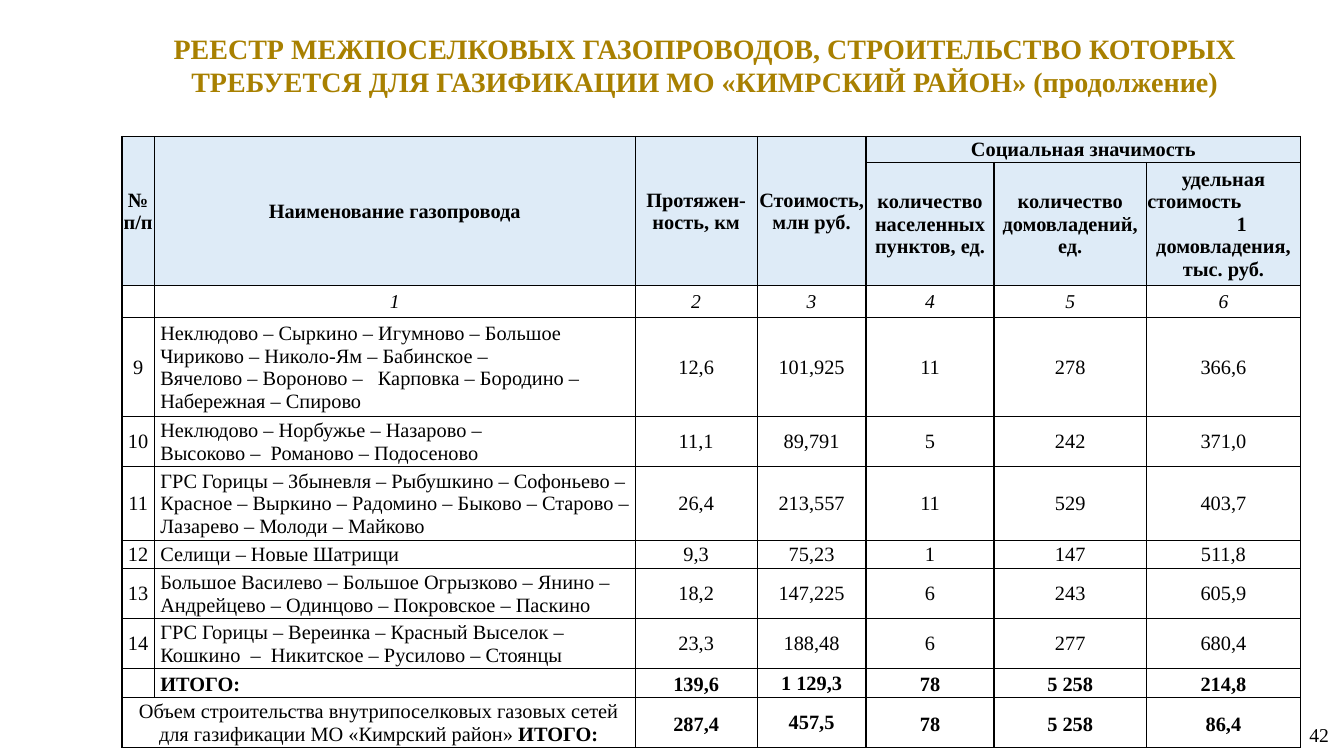
from pptx import Presentation
from pptx.dml.color import RGBColor
from pptx.enum.text import MSO_ANCHOR, MSO_AUTO_SIZE, PP_ALIGN
from pptx.oxml import parse_xml
from pptx.oxml.ns import nsdecls
from pptx.util import Inches, Pt

LEFT, CENTER, RIGHT = PP_ALIGN.LEFT, PP_ALIGN.CENTER, PP_ALIGN.RIGHT
MIDDLE, TOP = MSO_ANCHOR.MIDDLE, MSO_ANCHOR.TOP
NO_AUTOFIT = MSO_AUTO_SIZE.NONE

GOLD = RGBColor(0xA8, 0x80, 0x00)
BLACK = RGBColor(0x00, 0x00, 0x00)
PALE_BLUE = RGBColor(0xDE, 0xEB, 0xF7)

TITLE = ("РЕЕСТР МЕЖПОСЕЛКОВЫХ ГАЗОПРОВОДОВ, СТРОИТЕЛЬСТВО КОТОРЫХ "
         "ТРЕБУЕТСЯ ДЛЯ ГАЗИФИКАЦИИ МО «КИМРСКИЙ РАЙОН» (продолжение)")

# Percent of the slide's width and height
COLUMN_SHARES = [2.4, 35.78, 9.08, 8.1, 9.53, 11.33, 11.48]
ROW_SHARES = [3.44, 16.27, 4.23, 13.1, 6.61, 9.79, 3.7, 6.61, 6.61, 3.7, 6.61]

HEADINGS = ["№\vп/п", "Наименование газопровода", "Протяжен-ность, км",
            "Стоимость, млн руб.", "Социальная значимость"]
SUBHEADINGS = ["количество населенных пунктов, ед.",
               "количество\nдомовладений, ед.",
               "удельная\nстоимость\n1\nдомовладения, тыс. руб."]
COLUMN_NUMBERS = ["", "1", "2", "3", "4", "5", "6"]
PIPELINES = [
    ["9", "Неклюдово – Сыркино – Игумново – Большое\n"
          "Чириково – Николо-Ям – Бабинское –\n"
          "Вячелово – Вороново –   Карповка – Бородино –\n"
          "Набережная – Спирово",
     "12,6", "101,925", "11", "278", "366,6"],
    ["10", "Неклюдово – Норбужье – Назарово –\n"
           "Высоково –  Романово – Подосеново",
     "11,1", "89,791", "5", "242", "371,0"],
    ["11", "ГРС Горицы – Збыневля – Рыбушкино – Софоньево –\n"
           "Красное – Выркино – Радомино – Быково – Старово –\n"
           "Лазарево – Молоди – Майково",
     "26,4", "213,557", "11", "529", "403,7"],
    ["12", "Селищи – Новые Шатрищи", "9,3", "75,23", "1", "147", "511,8"],
    ["13", "Большое Василево – Большое Огрызково – Янино –\n"
           "Андрейцево – Одинцово – Покровское – Паскино",
     "18,2", "147,225", "6", "243", "605,9"],
    ["14", "ГРС Горицы – Вереинка – Красный Выселок –\n"
           "Кошкино  –  Никитское – Русилово – Стоянцы",
     "23,3", "188,48", "6", "277", "680,4"],
]
TOTALS = ["", "ИТОГО:", "139,6", "1 129,3", "78", "5 258", "214,8"]
NETWORK_LABEL = ("Объем строительства внутрипоселковых газовых сетей\n"
                 "для газификации МО «Кимрский район» ")
NETWORK_TOTALS = ["287,4", "457,5", "78", "5 258", "86,4"]


class RegisterSlide:
    """Places elements by percent of the slide's size, in one typeface."""

    font = "Times New Roman"
    body_size = 14.5

    def __init__(self, deck):
        self.width, self.height = deck.slide_width, deck.slide_height
        self.slide = deck.slides.add_slide(deck.slide_layouts[5])

    def across(self, share):
        return round(self.width * share / 100)

    def down(self, share):
        return round(self.height * share / 100)

    def box(self, x, y, w, h):
        return self.across(x), self.down(y), self.across(w), self.down(h)

    def style(self, frame, size, color=BLACK, align=CENTER, bold=False, italic=False):
        for paragraph in frame.paragraphs:
            paragraph.alignment = align
            for run in paragraph.runs:
                font = run.font
                font.name, font.size = self.font, Pt(size)
                font.bold, font.italic = bold, italic
                font.color.rgb = color

    def title(self, text, *place):
        heading = self.slide.shapes.title
        heading.left, heading.top, heading.width, heading.height = self.box(*place)
        frame = heading.text_frame
        frame.text = text
        frame.word_wrap, frame.auto_size = True, NO_AUTOFIT
        frame.vertical_anchor = TOP
        self.style(frame, 20, GOLD, bold=True)

    def page_number(self, number, *place):
        frame = self.slide.shapes.add_textbox(*self.box(*place)).text_frame
        frame.text = number
        frame.word_wrap = True
        frame.vertical_anchor = MIDDLE
        self.style(frame, 14, align=RIGHT)

    def table(self, x, y, column_shares, row_shares):
        place = self.box(x, y, sum(column_shares), sum(row_shares))
        table = self.slide.shapes.add_table(
            len(row_shares), len(column_shares), *place).table
        table.first_row = table.horz_banding = False
        for column, share in zip(table.columns, column_shares):
            column.width = self.across(share)
        for row, share in zip(table.rows, row_shares):
            row.height = self.down(share)
        for cell in table.iter_cells():
            self.frame_cell(cell)
        return table

    def frame_cell(self, cell):
        """Give a cell black edges, narrow margins and a small empty line."""
        properties = cell._tc.get_or_add_tcPr()
        for edge in ("lnL", "lnR", "lnT", "lnB"):
            properties.append(parse_xml(
                f'<a:{edge} {nsdecls("a")} w="{Pt(1)}"><a:solidFill>'
                f'<a:srgbClr val="{BLACK}"/></a:solidFill></a:{edge}>'))
        cell.fill.background()
        cell.vertical_anchor = MIDDLE
        cell.margin_left = cell.margin_right = cell.margin_top = Inches(0.01)
        cell.margin_bottom = 0
        cell.text_frame.paragraphs[0]._p.append(parse_xml(
            f'<a:endParaRPr {nsdecls("a")} sz="{round(self.body_size * 100)}"/>'))

    def fill_row(self, table, row, texts, first=0, size=body_size, **look):
        for column, text in enumerate(texts, first):
            if text:
                frame = table.cell(row, column).text_frame
                frame.text = text
                self.style(frame, size, **look)

    def name_cell(self, cell):
        cell.margin_left = Inches(0.06)
        for paragraph in cell.text_frame.paragraphs:
            paragraph.alignment = LEFT


def add_header(page, table):
    page.fill_row(table, 0, HEADINGS, bold=True)
    page.fill_row(table, 1, SUBHEADINGS, first=4, bold=True)
    for row in range(2):
        for column in range(len(COLUMN_SHARES)):
            cell = table.cell(row, column)
            cell.fill.solid()
            cell.fill.fore_color.rgb = PALE_BLUE
    unit_cost = table.cell(1, 6).text_frame.paragraphs
    unit_cost[1].alignment = LEFT
    unit_cost[2]._p.get_or_add_pPr().set("marL", str(Inches(0.36)))
    for column in range(4):
        table.cell(0, column).merge(table.cell(1, column))
    table.cell(0, 4).merge(table.cell(0, 6))
    page.fill_row(table, 2, COLUMN_NUMBERS, size=14, italic=True)


def add_totals(page, table, total_row):
    network_row = total_row + 1
    page.fill_row(table, total_row, TOTALS, bold=True)
    page.name_cell(table.cell(total_row, 1))
    page.fill_row(table, network_row, [NETWORK_LABEL])
    page.fill_row(table, network_row, NETWORK_TOTALS, first=2, bold=True)
    label = table.cell(network_row, 0)
    label.merge(table.cell(network_row, 1))
    total_word = label.text_frame.paragraphs[1].add_run()
    total_word.text = "ИТОГО:"
    page.style(label.text_frame, page.body_size)
    total_word.font.bold = True
    for row, column in [(total_row, 1)] + [
            (row, column) for row in (total_row, network_row) for column in (2, 4, 5, 6)]:
        table.cell(row, column).text_frame.paragraphs[0].line_spacing = 1.15


def main():
    deck = Presentation()
    deck.slide_width, deck.slide_height = Inches(13.33), Inches(7.5)
    page = RegisterSlide(deck)
    page.page_number("42", 79.29, 93.07, 20.33, 8.13)
    page.title(TITLE, 8.33, 3.47, 88.22, 10.27)
    register = page.table(9.08, 18.05, COLUMN_SHARES, ROW_SHARES)
    add_header(page, register)
    for row, pipeline in enumerate(PIPELINES, 3):
        page.fill_row(register, row, pipeline)
        page.name_cell(register.cell(row, 1))
    add_totals(page, register, 3 + len(PIPELINES))
    deck.save("out.pptx")


if __name__ == "__main__":
    main()
